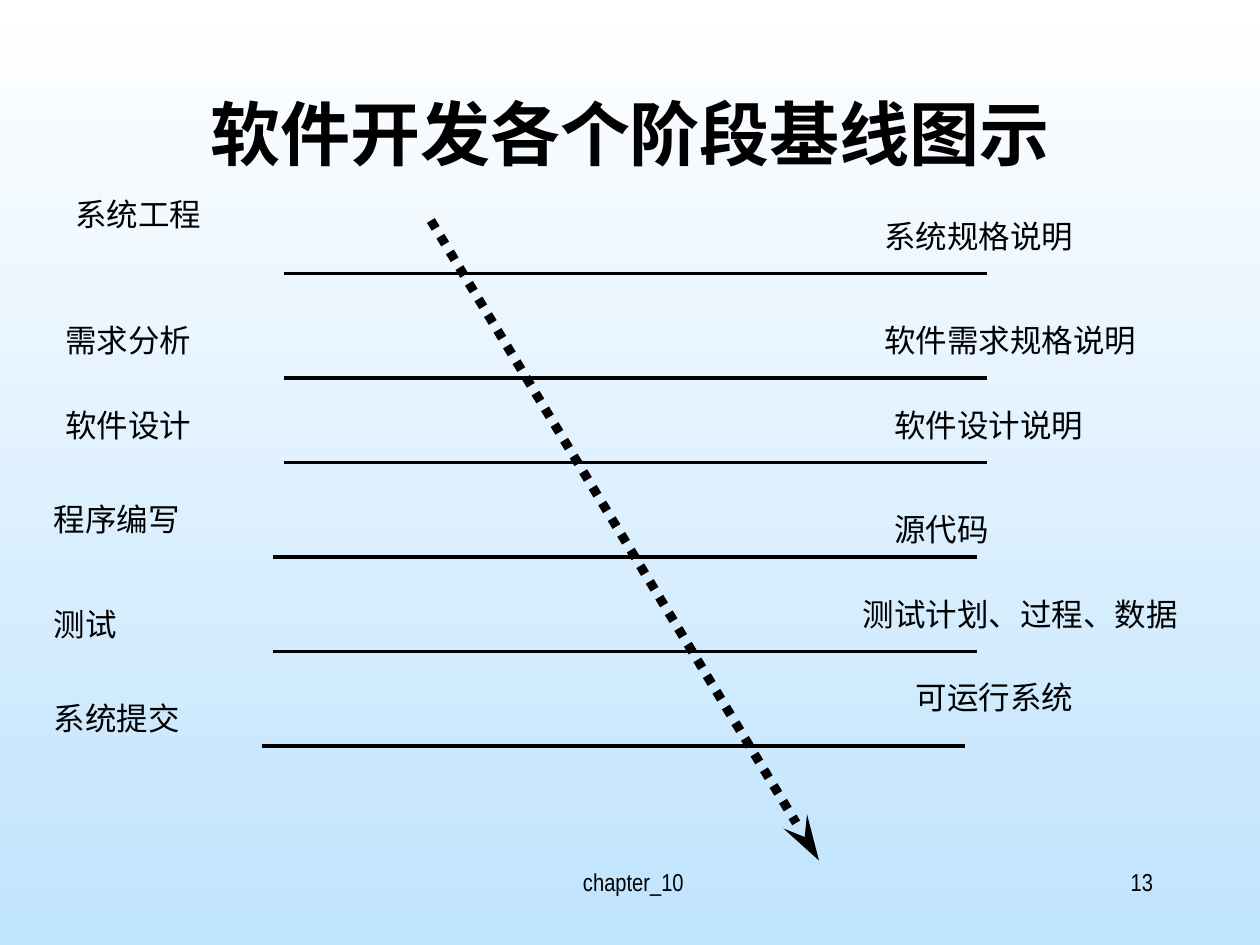
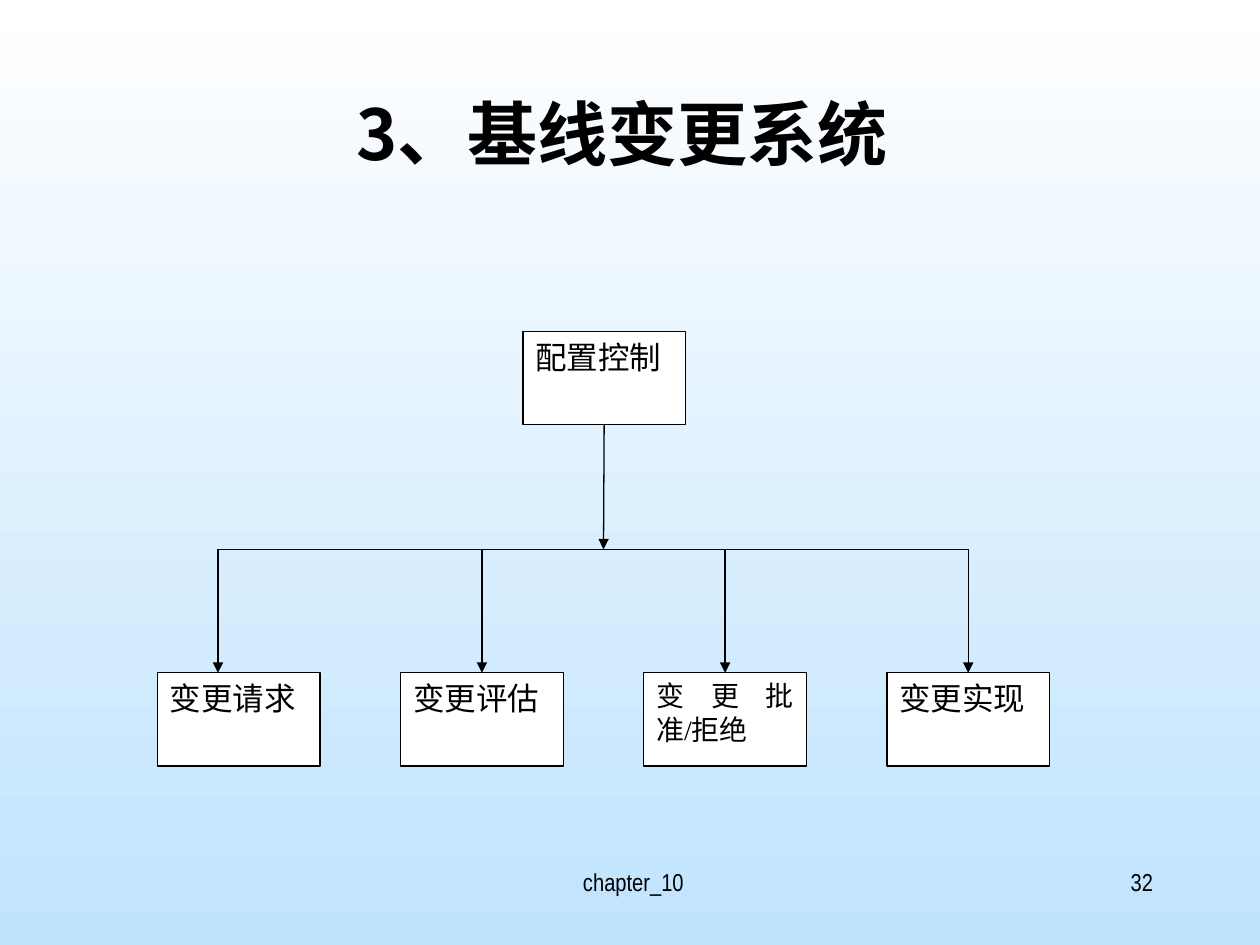
from lxml.etree import SubElement
from pptx import Presentation
from pptx.dml.color import RGBColor
from pptx.enum.dml import MSO_LINE
from pptx.enum.lang import MSO_LANGUAGE_ID
from pptx.enum.shapes import MSO_CONNECTOR, MSO_SHAPE
from pptx.enum.text import MSO_ANCHOR, MSO_AUTO_SIZE, PP_ALIGN
from pptx.oxml.ns import qn
from pptx.util import Inches, Pt

BLACK = RGBColor(0x00, 0x00, 0x00)
WHITE = RGBColor(0xFF, 0xFF, 0xFF)
SKY = RGBColor(0xC0, 0xE3, 0xFE)

CHINESE_FONT = "Noto Sans CJK SC"
TITLE = {"name": CHINESE_FONT, "size": Pt(40), "bold": True}
FOOTER = {"name": "Arial Narrow", "size": Pt(14)}
LABEL = {"name": "Arial Narrow", "size": Pt(18)}
STEP = {"name": "Times New Roman", "size": Pt(18)}
SMALL_STEP = {**STEP, "size": Pt(16)}
FRAME = {
    "word_wrap": True,
    "auto_size": MSO_AUTO_SIZE.NONE,
    "vertical_anchor": MSO_ANCHOR.TOP,
    "margin_left": Inches(0.1),
    "margin_right": Inches(0.1),
    "margin_top": Inches(0.05),
    "margin_bottom": Inches(0.05),
}

# Phase, left, top | product, left, top, width | baseline left, top
BASELINES = [
    ("系统工程", 0.17, 0, "系统规格说明", 6.59, 0.17, 2.58, 1.92, 0.67),
    ("需求分析", 0.09, 1, "软件需求规格说明", 6.59, 1, 2.58, 1.92, 1.5),
    ("软件设计", 0.09, 1.67, "软件设计说明", 6.67, 1.67, 2.58, 1.92, 2.17),
    ("程序编写", 0, 2.42, "源代码", 6.67, 2.5, 2.58, 1.84, 2.92),
    ("测试", 0, 3.25, "测试计划、过程、数据", 6.42, 3.17, 2.83, 1.84, 3.67),
    ("系统提交", 0, 4, "可运行系统", 6.84, 3.83, 2.58, 1.75, 4.42),
]
CHANGE_STEPS = [
    ("变更请求", STEP),
    ("变更评估", STEP),
    ("变更批准/拒绝", SMALL_STEP),
    ("变更实现", STEP),
]


def apply(target, formats):
    for attribute, value in formats.items():
        setattr(target, attribute, value)


def write(shape, text, font, align=PP_ALIGN.LEFT):
    apply(shape.text_frame, FRAME)
    paragraph = shape.text_frame.paragraphs[0]
    paragraph.alignment = align
    run = paragraph.add_run()
    run.text = text
    apply(run.font, {**font, "language_id": MSO_LANGUAGE_ID.SIMPLIFIED_CHINESE})
    run.font.color.rgb = BLACK
    SubElement(run._r.get_or_add_rPr(), qn("a:ea"), typeface=CHINESE_FONT)


def place(shape, left, top, width, height):
    apply(shape, {"left": Inches(left), "top": Inches(top),
                  "width": Inches(width), "height": Inches(height)})


def add_label(slide, text, left, top, width, height=0.4, font=LABEL,
              align=PP_ALIGN.LEFT):
    label = slide.shapes.add_textbox(
        Inches(left), Inches(top), Inches(width), Inches(height))
    write(label, text, font, align)


def add_line(slide, start, end, weight, head=None, length="med"):
    line = slide.shapes.add_connector(
        MSO_CONNECTOR.STRAIGHT, *map(Inches, start + end))
    line.line.color.rgb = BLACK
    line.line.width = Pt(weight)
    SubElement(line._element.spPr, qn("a:effectLst"))
    if head:
        SubElement(line.line._get_or_add_ln(), qn("a:tailEnd"),
                   type=head, w="med", len=length)
    return line


def style_master(master):
    fill = master.background.fill
    fill.gradient()
    fill.gradient_angle = 270
    for stop, position, color in zip(fill.gradient_stops, (0, 1), (WHITE, SKY)):
        stop.position = position
        stop.color.rgb = color


def add_page(deck, title, number):
    slide = deck.slides.add_slide(deck.slide_layouts[5])
    place(slide.shapes.title, 0.75, 0.67, 8.5, 1.25)
    write(slide.shapes.title, title, TITLE, PP_ALIGN.CENTER)
    add_label(slide, " chapter_10", 3.42, 6.83, 3.17, 0.5, FOOTER, PP_ALIGN.CENTER)
    add_label(slide, number, 7.17, 6.83, 2.08, 0.5, FOOTER, PP_ALIGN.RIGHT)
    return slide


def draw_baselines(slide, left, top):
    for phase, phase_x, phase_y, product, product_x, product_y, width, x, y in BASELINES:
        add_label(slide, phase, left + phase_x, top + phase_y, 2.58)
        add_label(slide, product, left + product_x, top + product_y, width)
        add_line(slide, (left + x, top + y), (left + x + 5.58, top + y), 2)

    # Dotted arrow of progress through the phases
    progress = add_line(slide, (left + 3.09, top + 0.25),
                        (left + 6.17, top + 5.33), 5.25)
    progress.line.dash_style = MSO_LINE.ROUND_DOT
    SubElement(progress.line._get_or_add_ln(), qn("a:tailEnd"),
               type="stealth", w="med", len="lg")


def add_step(slide, text, left, top, font):
    step = slide.shapes.add_shape(MSO_SHAPE.RECTANGLE, Inches(left), Inches(top),
                                  Inches(1.29), Inches(0.74))
    step.shadow.inherit = False
    step.fill.solid()
    step.fill.fore_color.rgb = WHITE
    step.line.color.rgb = BLACK
    step.line.width = Pt(0.75)
    write(step, text, font, PP_ALIGN.JUSTIFY)
    return step


def draw_change_tree(slide, left, top):
    bus_y, steps_y = top + 1.73, top + 2.71
    bus_left, bus_right = left + 0.48, left + 6.44
    control_x = left + 3.54

    # Control box and the bar below it
    control = add_step(slide, "配置控制", left + 2.9, top, STEP)
    add_line(slide, (bus_left, bus_y), (bus_right, bus_y), 0.75)
    trunk = add_line(slide, (control_x, top + 0.74), (control_x, bus_y),
                     0.75, "triangle")
    trunk.begin_connect(control, 2)

    # Change steps; the first branch drops from the end of the bar
    for index, (text, font) in enumerate(CHANGE_STEPS):
        step_x = left + 1.93 * index
        step = add_step(slide, text, step_x, steps_y, font)
        branch_x = step_x + 0.645 if index else bus_left
        branch = add_line(slide, (branch_x, bus_y), (branch_x, steps_y),
                          0.75, "triangle")
        if index:
            branch.end_connect(step, 0)


def main():
    deck = Presentation()
    deck.slide_width, deck.slide_height = Inches(10), Inches(7.5)
    style_master(deck.slide_master)
    draw_baselines(add_page(deck, "软件开发各个阶段基线图示", "13"), 0.33, 1.5)
    draw_change_tree(add_page(deck, "3、基线变更系统 ", "32"), 1.25, 2.63)
    deck.save("out.pptx")


if __name__ == "__main__":
    main()
